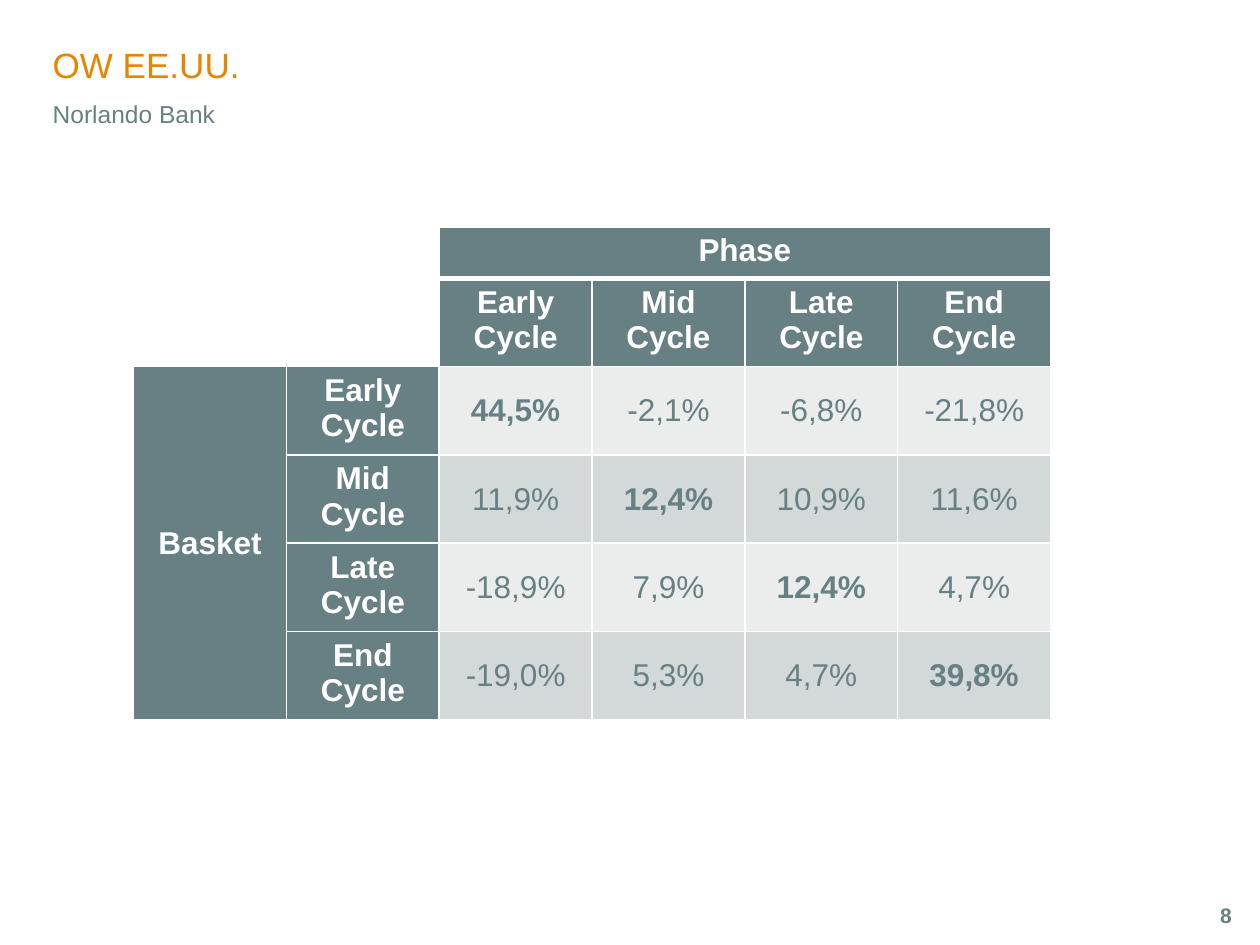
"""Build a slide with a table of basket returns by cycle phase."""
from pptx import Presentation
from pptx.dml.color import RGBColor
from pptx.enum.text import MSO_ANCHOR, PP_ALIGN
from pptx.oxml import parse_xml
from pptx.oxml.ns import nsdecls
from pptx.util import Inches, Pt

SLATE, ORANGE, WHITE = "678084", "E78400", "FFFFFF"
BANDS = ["EBEDED", "D3D8D9"]
PHASES = ["Early Cycle", "Mid Cycle", "Late Cycle", "End Cycle"]
RETURNS = [
    ["44,5%", "-2,1%", "-6,8%", "-21,8%"],
    ["11,9%", "12,4%", "10,9%", "11,6%"],
    ["-18,9%", "7,9%", "12,4%", "4,7%"],
    ["-19,0%", "5,3%", "4,7%", "39,8%"],
]


def write(frame, text, size, color, bold=False, align=PP_ALIGN.LEFT):
    """Write one formatted paragraph and return it."""
    para = frame.paragraphs[0]
    para.alignment = align
    span = para.add_run()
    span.text = text
    for name, value in {"name": "Arial", "size": Pt(size), "bold": bold}.items():
        setattr(span.font, name, value)
    span.font.color.rgb = RGBColor.from_string(color)
    return para


def fill_cell(cell, text, fill, color=WHITE, bold=True, anchor=MSO_ANCHOR.TOP):
    """Fill a table cell and write its centred text."""
    cell.fill.solid()
    cell.fill.fore_color.rgb = RGBColor.from_string(fill)
    cell.vertical_anchor = anchor
    write(cell.text_frame, text, 18, color, bold, PP_ALIGN.CENTER)


deck = Presentation()
deck.slide_width, deck.slide_height = Inches(10), Inches(7.5)
page = deck.slides.add_slide(deck.slide_layouts[6])

labels = [
    ("OW EE.UU.", (0.12, 0.31, 9.87, 0.45), 20, ORANGE, MSO_ANCHOR.MIDDLE),
    ("Norlando Bank", (0.12, 0.76, 9.87, 0.32), 14, SLATE, MSO_ANCHOR.TOP),
]
for text, place, size, color, anchor in labels:
    frame = page.shapes.add_textbox(*map(Inches, place)).text_frame
    frame.word_wrap = True
    frame.vertical_anchor = anchor
    para = write(frame, text, size, color)
    para.line_spacing = 0.9
    para._p.get_or_add_pPr().set("marL", str(Inches(0.2)))

number = page.shapes.add_textbox(*map(Inches, (9.34, 7.06, 0.78, 0.4))).text_frame
number.word_wrap = True
number.vertical_anchor = MSO_ANCHOR.MIDDLE
write(number, "8", 12, SLATE, True, PP_ALIGN.CENTER)

table = page.shapes.add_table(6, 6, *map(Inches, (1.06, 1.8, 7.28, 3.71))).table
for column in table.columns:
    column.width = Inches(7.28 / 6)
for index, row in enumerate(table.rows):
    row.height = Inches(0.66 if index else 0.41)
    for cell in row.cells:
        cell.fill.background()
        properties = cell._tc.get_or_add_tcPr()
        for position, side in enumerate(["lnL", "lnR", "lnT", "lnB"]):
            header_edge = (index, side) in [(0, "lnB"), (1, "lnT")]
            properties.insert(position, parse_xml(
                f'<a:{side} {nsdecls("a")} w="{Pt(3 if header_edge else 1)}">'
                f'<a:solidFill><a:srgbClr val="{WHITE}"/></a:solidFill></a:{side}>'))

table.cell(0, 2).merge(table.cell(0, 5))
table.cell(2, 0).merge(table.cell(5, 0))
fill_cell(table.cell(0, 2), "Phase", SLATE)
fill_cell(table.cell(2, 0), "Basket", SLATE, anchor=MSO_ANCHOR.MIDDLE)
for index, (phase, values) in enumerate(zip(PHASES, RETURNS)):
    fill_cell(table.cell(1, index + 2), phase, SLATE)
    fill_cell(table.cell(index + 2, 1), phase, SLATE)
    for column, value in enumerate(values):
        fill_cell(table.cell(index + 2, column + 2), value, BANDS[index % 2],
                  SLATE, index == column, MSO_ANCHOR.MIDDLE)

deck.save("out.pptx")
